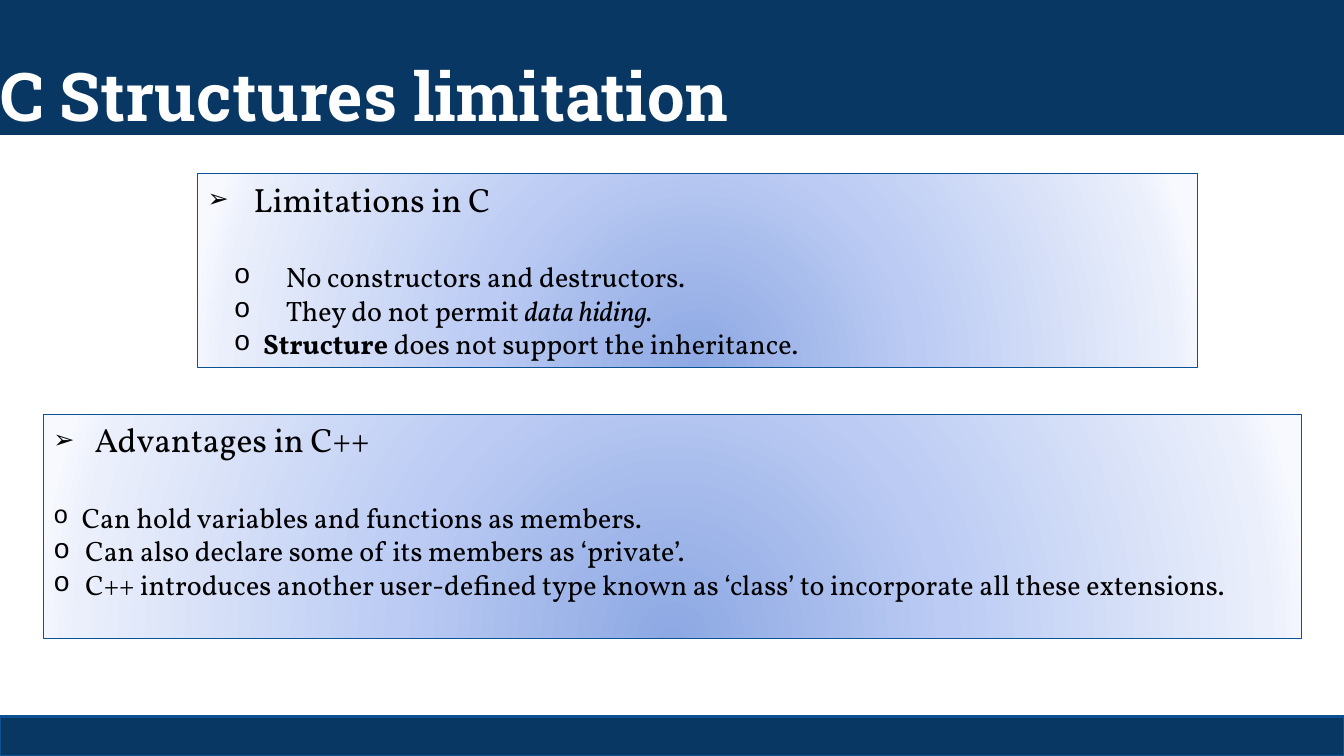
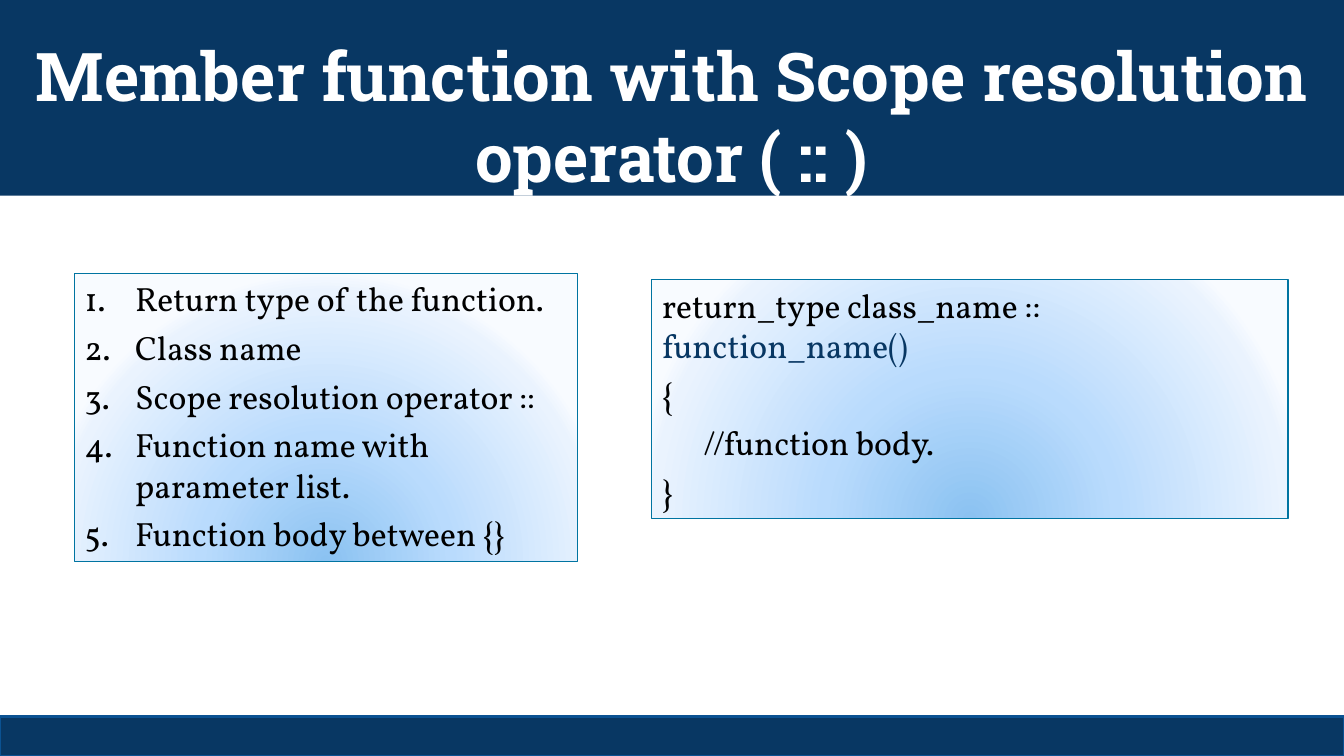
import pptx
import pptx.dml.color
import pptx.enum.shapes
import pptx.enum.text
import pptx.oxml
import pptx.oxml.ns
import pptx.util

Cm, Pt = pptx.util.Cm, pptx.util.Pt
ALIGN = pptx.enum.text.PP_ALIGN

# Shared style
NAVY, WHITE, BLACK = "083763", "FFFFFF", "000000"
FOOTER_EDGE = "0B5292"
TITLE_FONT, BODY_FONT, MARKER_FONT = "Roboto Slab", "Vollkorn", "Courier New"
WIDTH, HEIGHT = 33.87, 19.05
PERIWINKLE = {"edge": "095295",
              "stops": {0: "8DA8E3", 43: "BBCBF3", 93: "EAEFFB", 100: "F7F9FF"}}
SKY = {"edge": "0074A1",
       "stops": {0: "8BC2F1", 43: "B9DBFD", 93: "EAF3FE", 100: "F8FBFF"}}


def rgb(value):
    return pptx.dml.color.RGBColor.from_string(value)


def apply(target, values):
    for name, value in values.items():
        setattr(target, name, value)


def place(shape, left, top, width, height):
    apply(shape, {"left": Cm(left), "top": Cm(top),
                  "width": Cm(width), "height": Cm(height)})


# Paragraph descriptions: runs are (text, font format) pairs
def arrow_heading(text, text_at):
    return {"runs": [(text, {})], "size": 24, "after": 29, "text_at": text_at,
            "marker": ("buChar", {"char": "➢"}), "marker_size": 75}


def circle_item(runs, text_at, marker_at=0, marker_size=100):
    return {"runs": runs, "size": 20, "text_at": text_at, "marker_at": marker_at,
            "marker": ("buChar", {"char": "o"}), "marker_size": marker_size,
            "marker_font": MARKER_FONT}


def numbered_item(text):
    return {"runs": [(text, {})], "size": 24, "after": 6, "text_at": 1.27,
            "marker": ("buAutoNum", {"type": "arabicPeriod"})}


def code_line(runs, indent=0):
    return {"runs": runs, "size": 24, "after": 6,
            "text_at": indent, "marker_at": indent}


class Deck:
    def __init__(self):
        self.presentation = pptx.Presentation()
        apply(self.presentation, {"slide_width": Cm(WIDTH), "slide_height": Cm(HEIGHT)})
        self.slide = None

    def new_slide(self, title, band_height, align=ALIGN.LEFT):
        two_content = self.presentation.slide_layouts[3]
        self.slide = self.presentation.slides.add_slide(two_content)
        self.title(title, band_height, align)
        self.footer()

    def title(self, text, band_height, align):
        band = self.slide.shapes.title
        place(band, 0, 0, WIDTH, band_height)
        band.fill.solid()
        band.fill.fore_color.rgb = rgb(NAVY)
        apply(band.text_frame, {
            "margin_left": 0, "margin_right": 0, "margin_bottom": 0,
            "margin_top": Cm(0.13), "word_wrap": True,
            "auto_size": pptx.enum.text.MSO_AUTO_SIZE.NONE,
            "vertical_anchor": pptx.enum.text.MSO_ANCHOR.BOTTOM})
        heading = band.text_frame.paragraphs[0]
        heading.alignment = align
        self.run(heading, text, {"name": TITLE_FONT, "size": Pt(48), "bold": True}, WHITE)

    def footer(self):
        band = self.slide.shapes.add_shape(
            pptx.enum.shapes.MSO_SHAPE.RECTANGLE, 0, Cm(18.06), Cm(WIDTH), Cm(0.99))
        band.shadow.inherit = False
        band.fill.solid()
        band.fill.fore_color.rgb = rgb(NAVY)
        band.line.color.rgb = rgb(FOOTER_EDGE)
        band.line.width = Pt(2)

    def box(self, number, area, theme, lines, align=ALIGN.LEFT):
        panel = self.slide.placeholders[number]
        place(panel, *area)
        self.glow(panel, theme["stops"])
        panel.line.color.rgb = rgb(theme["edge"])
        panel.line.width = Pt(0.75)
        frame = panel.text_frame
        apply(frame, {"word_wrap": True,
                      "auto_size": pptx.enum.text.MSO_AUTO_SIZE.NONE,
                      "vertical_anchor": pptx.enum.text.MSO_ANCHOR.TOP})
        for index, line in enumerate(lines):
            paragraph = frame.add_paragraph() if index else frame.paragraphs[0]
            apply(paragraph, {"alignment": align, "space_before": Pt(0),
                              "space_after": Pt(line.get("after", 0))})
            self.marker(paragraph, line)
            for text, look in line["runs"]:
                if text == "\n":
                    paragraph.add_line_break()
                    continue
                font = {"name": BODY_FONT, "size": Pt(line["size"]), **look}
                self.run(paragraph, text, font, font.pop("color", BLACK))

    def run(self, paragraph, text, font, color):
        piece = paragraph.add_run()
        piece.text = text
        apply(piece.font, font)
        piece.font.color.rgb = rgb(color)

    def marker(self, paragraph, line):
        # Bullet and hanging indent
        props = paragraph._p.get_or_add_pPr()
        text_at, marker_at = line["text_at"], line.get("marker_at", 0)
        props.set("marL", str(Cm(text_at)))
        props.set("indent", str(Cm(marker_at) - Cm(text_at)))
        parts = [line.get("marker", ("buNone", {}))]
        if "marker_font" in line:
            parts.insert(0, ("buFont", {"typeface": line["marker_font"]}))
        if "marker_size" in line:
            parts.insert(0, ("buSzPct", {"val": str(line["marker_size"] * 1000)}))
        for tag, attributes in parts:
            element = props.makeelement(pptx.oxml.ns.qn("a:" + tag), attributes)
            props.append(element)

    def glow(self, panel, stops):
        # Circular gradient centred below the panel
        colors = "".join(
            f'<a:gs pos="{position * 1000}"><a:srgbClr val="{color}"/></a:gs>'
            for position, color in stops.items())
        panel._element.spPr.append(pptx.oxml.parse_xml(
            f'<a:gradFill {pptx.oxml.ns.nsdecls("a")} rotWithShape="1">'
            f'<a:gsLst>{colors}</a:gsLst><a:path path="circle">'
            '<a:fillToRect l="50000" t="130000" r="50000" b="-30000"/>'
            '</a:path></a:gradFill>'))


def main():
    deck = Deck()

    # Limitations and advantages
    deck.new_slide("C Structures limitation", 3.4)
    deck.box(1, (4.98, 4.37, 25.2, 4.88), PERIWINKLE, [
        arrow_heading("Limitations in C", 1.16),
        circle_item([("No constructors and destructors.", {})], 1.97, 0.66),
        circle_item([("They do not permit ", {}),
                     ("data hiding.", {"italic": True})], 1.97, 0.66),
        circle_item([("Structure", {"bold": True}),
                     (" does not support the inheritance.", {})], 1.4, 0.66),
    ])
    deck.box(2, (1.09, 10.44, 31.72, 5.64), PERIWINKLE, [
        arrow_heading("Advantages in C++", 1.04),
        circle_item([("Can hold variables and functions as members.", {})],
                    0.72, marker_size=90),
        circle_item([("Can also declare some of its members as ‘private’.", {})], 0.81),
        circle_item([("C++ introduces another user-defined type known as ‘class’ "
                      "to incorporate all these extensions.", {})], 0.81),
    ], ALIGN.JUSTIFY)

    # Scope resolution operator
    deck.new_slide("Member function with Scope resolution operator ( :: )", 4.93,
                   ALIGN.CENTER)
    definition_parts = ["Return type of the function.", "Class name",
                        "Scope resolution operator ::",
                        "Function name with parameter list.",
                        "Function body between {}"]
    deck.box(1, (1.88, 6.88, 12.67, 7.26), SKY,
             [numbered_item(part) for part in definition_parts])
    deck.box(2, (16.43, 7.04, 16.03, 6.02), SKY, [
        code_line([("return_type class_name ::", {}), ("\n", {}),
                   ("function_name()", {"color": NAVY})]),
        code_line([("{", {})]),
        code_line([("//function body.", {})], 1.04),
        code_line([("}", {})]),
    ])

    deck.presentation.save("out.pptx")


if __name__ == "__main__":
    main()
